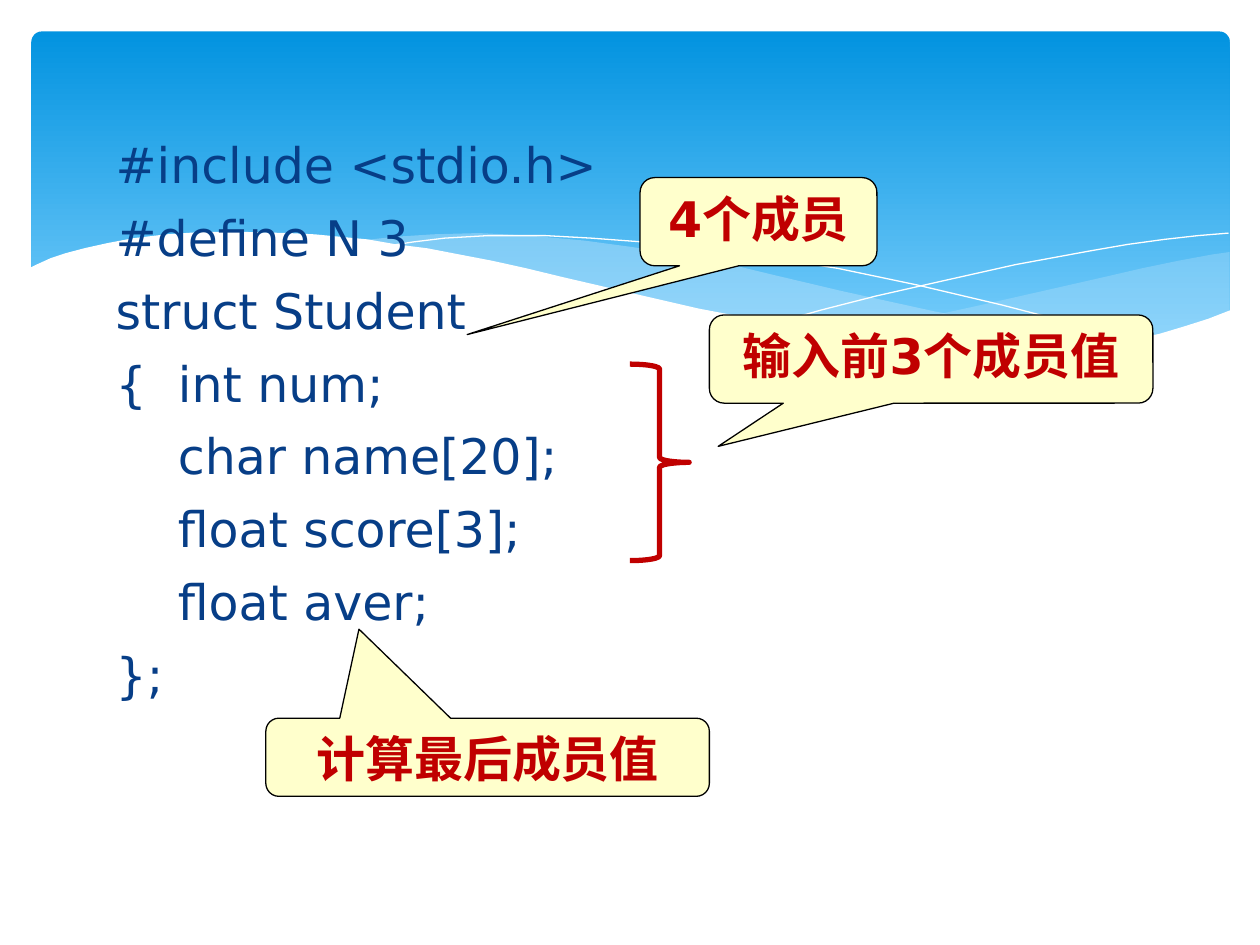
from dataclasses import dataclass

from lxml.etree import SubElement
from pptx import Presentation
from pptx.dml.color import RGBColor
from pptx.enum.shapes import MSO_SHAPE as Shape
from pptx.enum.text import MSO_ANCHOR as Anchor, PP_ALIGN as Align
from pptx.oxml.ns import qn
from pptx.util import Inches, Pt

COLORS = {
    "sky_top": "0293E0", "sky_bottom": "83D3FE", "mist": "C6E7FC",
    "white": "FFFFFF", "code": "073E87", "note": "FFFFCC",
    "red": "C00000", "black": "000000",
}
CODE_FONT = {"name": "DejaVu Sans", "size": Pt(28), "bold": False}
NOTE_FONT = {**CODE_FONT, "bold": True}
CODE = """#include <stdio.h>
#define N 3
struct Student
{  int num;
    char name[20];
    float score[3];
    float aver;
};"""


@dataclass
class Wave:
    """A banner curve; points are in hundredths of an inch."""
    points: list[tuple[int, int]]
    fill: str | None = None
    opacity: int = 100


@dataclass
class Callout:
    text: str
    area: tuple[float, float, float, float]
    pointer: tuple[float, float]


WAVES = [
    Wave([(976, 200), (962, 202), (935, 207), (906, 213), (876, 220), (832, 230),
          (779, 242), (729, 253), (683, 262), (661, 265), (691, 269), (718, 272),
          (745, 275), (781, 277), (814, 278), (844, 277), (872, 274), (897, 270),
          (921, 265), (942, 259), (963, 252), (976, 247)], "mist", 29),
    Wave([(893, 273), (866, 269), (807, 260), (741, 247), (668, 231), (613, 218),
          (584, 211), (555, 205), (527, 200), (501, 196), (464, 191), (420, 187),
          (380, 185), (344, 186), (313, 188), (286, 191), (323, 196), (362, 203),
          (404, 211), (449, 222), (491, 232), (530, 240), (566, 248), (601, 255),
          (634, 261), (665, 266), (695, 270), (722, 274), (748, 276), (785, 278),
          (818, 279), (848, 278), (876, 275)], "mist", 40),
    Wave([(309, 195), (328, 192), (353, 189), (387, 187), (433, 187), (469, 189),
          (510, 192), (556, 197), (608, 204), (665, 213), (727, 226), (795, 242),
          (868, 261), (907, 272)]),
    Wave([(613, 257), (652, 246), (695, 235), (748, 223), (806, 210), (866, 199),
          (895, 194), (924, 190), (951, 187), (975, 185)]),
    Wave([(977, 246), (959, 253), (940, 259), (920, 265), (899, 269), (875, 273),
          (850, 275), (823, 277), (793, 276), (761, 275), (726, 272), (688, 268),
          (647, 262), (603, 254), (555, 245), (503, 233), (447, 220), (418, 213),
          (391, 207), (365, 202), (339, 197), (315, 194), (292, 190), (271, 188),
          (250, 186), (230, 185), (193, 184), (161, 184), (132, 186), (106, 189),
          (85, 193), (67, 197), (52, 201), (40, 205), (29, 210), (23, 213),
          (23, 329), (977, 329)], "white"),
]
CALLOUTS = [
    Callout("4个成员", (5.08, 1.41, 1.88, 0.7), (-1.23, 1.28)),
    Callout("输入前3个成员值", (5.63, 2.5, 3.52, 0.7), (-0.48, 0.99)),
    Callout("计算最后成员值", (2.11, 5.7, 3.52, 0.62), (-0.29, -1.64)),
]


def color(name: str) -> RGBColor:
    return RGBColor.from_string(COLORS[name])


def set_line(shape, name: str, width: float) -> None:
    shape.line.color.rgb = color(name)
    shape.line.width = Pt(width)


def add_shape(page, kind: Shape, area: tuple[float, ...]):
    shape = page.shapes.add_shape(kind, *map(Inches, area))
    shape.shadow.inherit = False
    return shape


def write(para, text: str, font: dict, ink: str) -> None:
    span = para.add_run()
    span.text = text
    for key, value in font.items():
        setattr(span.font, key, value)
    span.font.color.rgb = color(ink)


def draw_sky(page) -> None:
    sky = add_shape(page, Shape.ROUNDED_RECTANGLE, (0.25, 0.25, 9.51, 2.7))
    sky.adjustments[0] = 0.03
    sky.fill.gradient()
    sky.fill.gradient_angle = 270
    for stop, name in zip(sky.fill.gradient_stops, ("sky_top", "sky_bottom")):
        stop.color.rgb = color(name)
    sky.line.fill.background()


def draw_wave(page, wave: Wave) -> None:
    builder = page.shapes.build_freeform(*wave.points[0], scale=Inches(0.01))
    builder.add_line_segments(wave.points[1:], close=wave.fill is not None)
    shape = builder.convert_to_shape()
    shape.shadow.inherit = False
    if wave.fill is None:
        shape.fill.background()
        set_line(shape, "white", 0)
        return
    shape.fill.solid()
    shape.fill.fore_color.rgb = color(wave.fill)
    shape.line.fill.background()
    if wave.opacity < 100:
        tint = shape.fill._xPr.find(".//" + qn("a:srgbClr"))
        SubElement(tint, qn("a:alpha"), val=str(wave.opacity * 1000))


def draw_code(page) -> None:
    box = page.shapes.add_textbox(*map(Inches, (0.82, 1.02, 7.22, 5.16)))
    frame = box.text_frame
    frame.word_wrap = True
    for index, line in enumerate(CODE.split("\n")):
        para = frame.add_paragraph() if index else frame.paragraphs[0]
        para.space_before = Pt(8 if index else 0)
        write(para, line, CODE_FONT, "code")


def draw_brace(page) -> None:
    brace = add_shape(page, Shape.RIGHT_BRACE, (5, 2.89, 0.47, 1.56))
    brace.fill.background()
    set_line(brace, "red", 3)


def draw_callout(page, callout: Callout) -> None:
    shape = add_shape(page, Shape.ROUNDED_RECTANGULAR_CALLOUT, callout.area)
    for index, value in enumerate(callout.pointer):
        shape.adjustments[index] = value
    shape.fill.solid()
    shape.fill.fore_color.rgb = color("note")
    set_line(shape, "black", 0.75)
    frame = shape.text_frame
    frame.word_wrap = False
    frame.vertical_anchor = Anchor.TOP
    para = frame.paragraphs[0]
    para.alignment = Align.CENTER
    write(para, callout.text, NOTE_FONT, "red")


def main() -> None:
    deck = Presentation()
    deck.slide_width, deck.slide_height = Inches(10), Inches(7.5)
    page = deck.slides.add_slide(deck.slide_layouts[6])

    # Banner with waves
    draw_sky(page)
    for wave in WAVES:
        draw_wave(page, wave)

    # Code and its notes
    draw_code(page)
    draw_brace(page)
    for callout in CALLOUTS:
        draw_callout(page, callout)

    deck.save("out.pptx")


if __name__ == "__main__":
    main()
